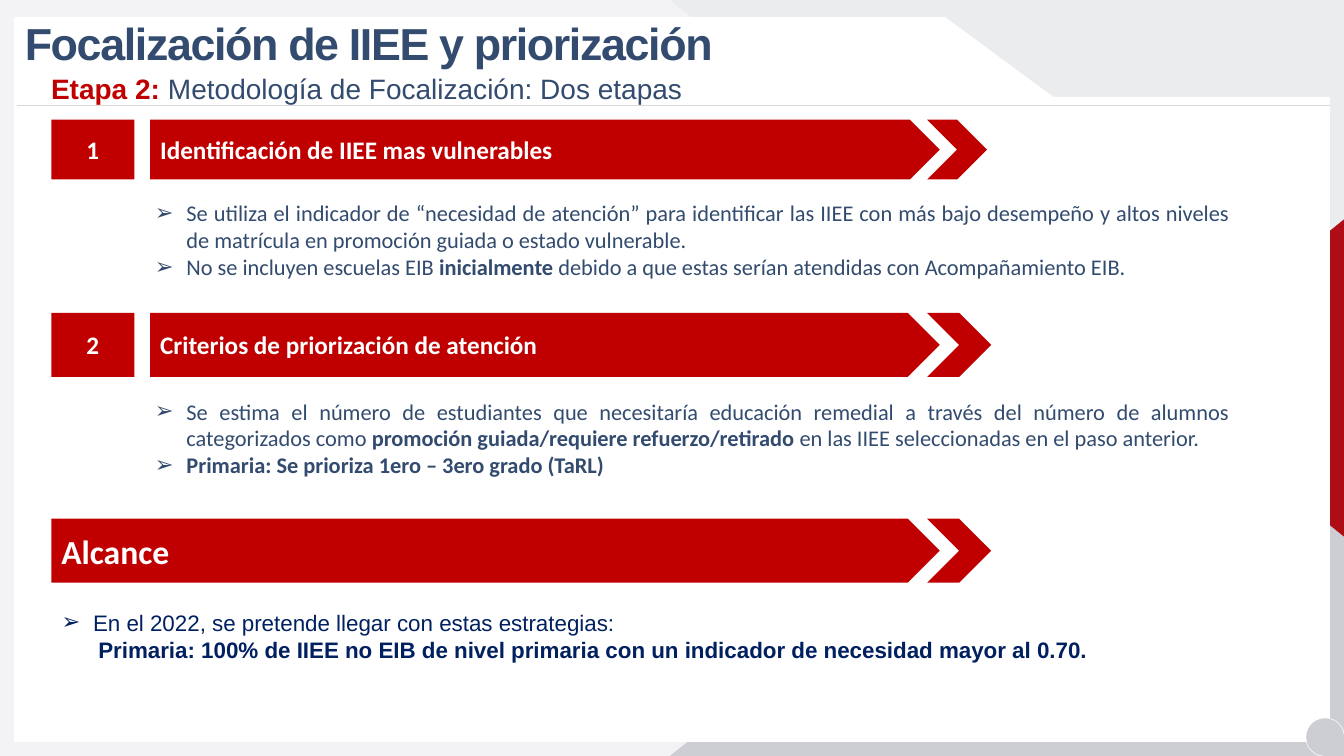
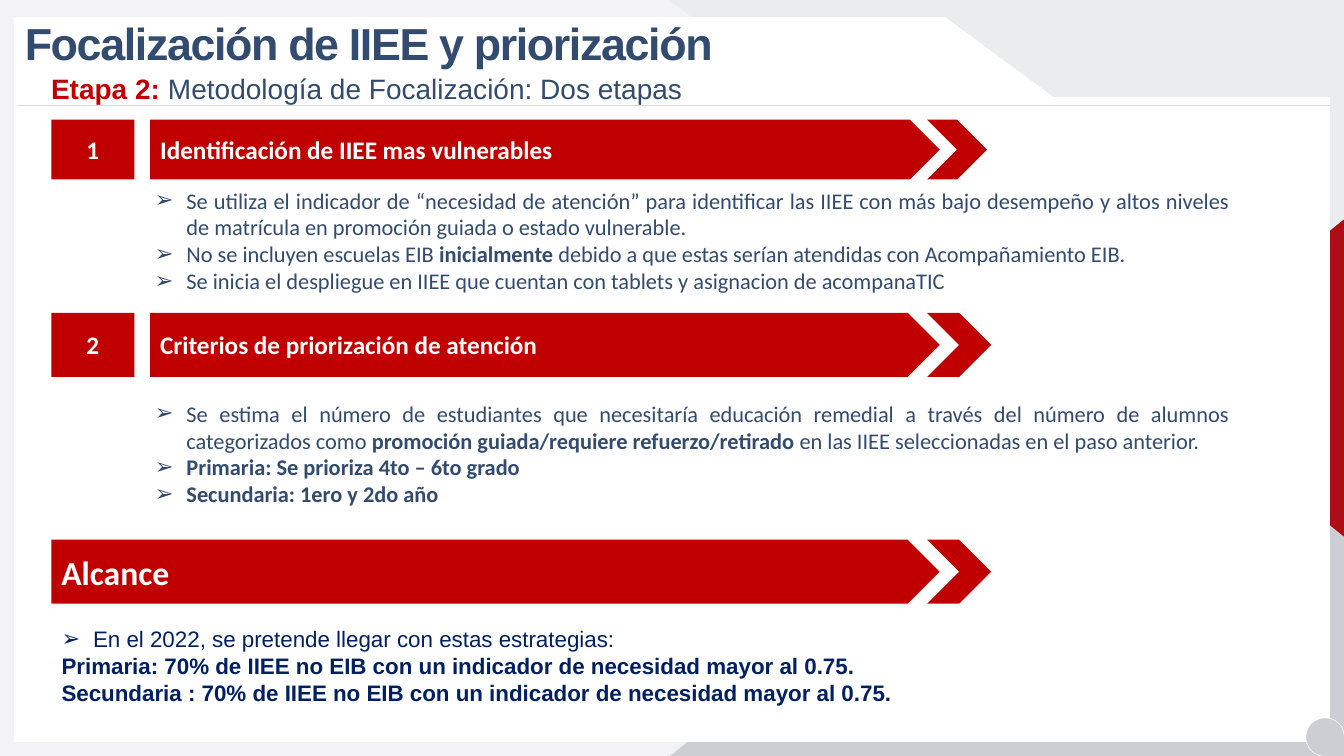
"""Build two slides on the targeting and prioritisation of schools."""
from dataclasses import dataclass
from typing import Any, Optional

from lxml import etree
from pptx import Presentation
from pptx.dml.color import RGBColor
from pptx.enum.shapes import MSO_CONNECTOR, MSO_SHAPE
from pptx.enum.text import MSO_ANCHOR, MSO_AUTO_SIZE, PP_ALIGN
from pptx.oxml.ns import qn
from pptx.util import Pt

PX = 9525
SLIDE_WIDTH, SLIDE_HEIGHT = 1280, 720
COMPARISON_LAYOUT = 4
SUBTITLE, FIRST_LIST, SCOPE_LIST, SECOND_LIST = 1, 2, 3, 4

RECTANGLE, TRIANGLE = MSO_SHAPE.RECTANGLE, MSO_SHAPE.ISOSCELES_TRIANGLE
TEARDROP, ARROW, CHEVRON = MSO_SHAPE.TEAR, MSO_SHAPE.PENTAGON, MSO_SHAPE.CHEVRON
STRAIGHT = MSO_CONNECTOR.STRAIGHT
TOP, MIDDLE = MSO_ANCHOR.TOP, MSO_ANCHOR.MIDDLE
LEFT, CENTER, JUSTIFY = PP_ALIGN.LEFT, PP_ALIGN.CENTER, PP_ALIGN.JUSTIFY
NO_AUTOFIT = MSO_AUTO_SIZE.NONE

WHITE = RGBColor(0xFF, 0xFF, 0xFF)
PALE_GREY = RGBColor(0xF3, 0xF3, 0xF5)
LIGHT_GREY = RGBColor(0xEB, 0xEC, 0xEE)
MID_GREY = RGBColor(0xCD, 0xCE, 0xD3)
RULE_GREY = RGBColor(0xD9, 0xD9, 0xD9)
DARK_RED = RGBColor(0xAF, 0x0D, 0x15)
RED = RGBColor(0xC0, 0x00, 0x00)
SLATE = RGBColor(0x32, 0x4B, 0x6E)
NAVY = RGBColor(0x00, 0x20, 0x60)

TITLE_FONT = {"name": "Arial", "size": Pt(32)}
SUBTITLE_FONT = {"name": "Arial", "size": Pt(20)}
BAND_FONT = {"name": "Calibri", "size": Pt(18)}
SCOPE_BAND_FONT = {"name": "Calibri", "size": Pt(24)}
LIST_FONT = {"name": "Calibri", "size": Pt(16)}
SCOPE_FONT = {"name": "Arial", "size": Pt(16)}

BAND_LEFT, ARROW_LEFT, ARROW_RIGHT, CHEVRON_LEFT = 49, 143, 895, 883
NUMBER_WIDTH, BAND_HEIGHT = 79, 61
LIST_LEFT, LIST_WIDTH, SCOPE_WIDTH = 138, 1043, 1183
BULLET_INDENT = 30
LINE_HEIGHT, LIST_PADDING = 26, 9
PANEL = ((14, 17), (900, 17), (1003, 93), (1266, 93), (1266, 706), (14, 706))


@dataclass(frozen=True)
class Box:
    """A rectangle in px."""
    left: int
    top: int
    width: int
    height: int

    def emu(self) -> tuple[int, ...]:
        """Return the rectangle in EMU."""
        return tuple(n * PX for n in (self.left, self.top, self.width, self.height))


@dataclass(frozen=True)
class Span:
    """A stretch of text in one weight and colour."""
    text: str
    bold: bool = False
    color: Optional[RGBColor] = None


@dataclass(frozen=True)
class Para:
    """A paragraph with its bullet and left margin."""
    spans: tuple[Span, ...]
    bullet: str = ""
    margin: int = 0


@dataclass(frozen=True)
class Backdrop:
    """A preset shape behind the content."""
    kind: Any
    box: Box
    fill: RGBColor
    rotation: int = 0
    adjustment: Optional[float] = None
    flipped: bool = False
    outline: Optional[RGBColor] = None


@dataclass(frozen=True)
class Step:
    """A numbered band."""
    number: str
    heading: str
    top: int
    height: int


@dataclass(frozen=True)
class TextBlock:
    """A list with its first line's place and its line count."""
    top: int
    lines: int
    paras: tuple[Para, ...]


@dataclass(frozen=True)
class Content:
    """What differs from slide to slide."""
    first: TextBlock
    second: TextBlock
    scope_top: int
    scope: TextBlock


def item(*spans: Span) -> Para:
    """Return a bulleted paragraph."""
    return Para(spans, "➢", BULLET_INDENT)


CORNER = Box(1244, 684, 36, 36)
BACKDROPS = (
    Backdrop(RECTANGLE, Box(0, 0, SLIDE_WIDTH, SLIDE_HEIGHT), PALE_GREY),
    Backdrop(TRIANGLE, Box(638, 0, 642, 510), LIGHT_GREY, adjustment=1, flipped=True),
    Backdrop(TRIANGLE, Box(638, 210, 642, 510), MID_GREY, adjustment=1),
    Backdrop(TRIANGLE, Box(1035, 266, 302, 188), DARK_RED, rotation=270),
    Backdrop(TEARDROP, CORNER, MID_GREY, rotation=90, outline=WHITE),
)
CORNER_MARK = Backdrop(TEARDROP, CORNER, MID_GREY, rotation=90)

TITLE_PARA = Para((Span("Focalización de IIEE y priorización", True),))
SUBTITLE_PARA = Para((
    Span("Etapa 2: ", True, RED),
    Span("Metodología de Focalización: Dos etapas"),
))
STEPS = (
    Step("1", "Identificación de IIEE mas vulnerables", 114, 57),
    Step("2", "Criterios de priorización de atención", 298, BAND_HEIGHT),
)
NEED_ITEMS = (
    item(Span("Se utiliza el indicador de “necesidad de atención” para identificar las "
              "IIEE con más bajo desempeño y altos niveles de matrícula en promoción "
              "guiada o estado vulnerable.")),
    item(Span("No se incluyen escuelas EIB "), Span("inicialmente ", True),
         Span("debido a que estas serían atendidas con Acompañamiento EIB.")),
)
ESTIMATE_ITEM = item(
    Span("Se estima el número de estudiantes que necesitaría educación remedial a través "
         "del número de alumnos categorizados como "),
    Span("promoción guiada/requiere refuerzo/retirado ", True),
    Span("en las IIEE seleccionadas en el paso anterior."),
)
SCOPE_ITEM = item(Span("En el 2022, se pretende llegar con estas estrategias:"))
CONTENTS = (
    Content(
        TextBlock(185, 3, NEED_ITEMS),
        TextBlock(374, 3, (
            ESTIMATE_ITEM,
            item(Span("Primaria: Se prioriza 1ero – 3ero grado (TaRL)", True)),
        )),
        494,
        TextBlock(575, 2, (
            SCOPE_ITEM,
            Para((Span("Primaria: 100% de IIEE no EIB de nivel primaria con un indicador "
                       "de necesidad mayor al 0.70.", True),), margin=35),
        )),
    ),
    Content(
        TextBlock(173, 4, NEED_ITEMS + (
            item(Span("Se inicia el despliegue en IIEE que cuentan con tablets y "
                      "asignacion de acompanaTIC")),
        )),
        TextBlock(376, 4, (
            ESTIMATE_ITEM,
            item(Span("Primaria: Se prioriza 4to – 6to grado", True)),
            item(Span("Secundaria: 1ero y 2do año", True)),
        )),
        514,
        TextBlock(591, 3, (
            SCOPE_ITEM,
            Para((Span("Primaria: 70% de IIEE no EIB con un indicador de necesidad "
                       "mayor al 0.75.", True),)),
            Para((Span("Secundaria : 70% de IIEE no EIB con un indicador de necesidad "
                       "mayor al 0.75.", True),)),
        )),
    ),
)


def apply(target: Any, values: dict[str, Any]) -> None:
    """Set each named attribute on the target."""
    for name, value in values.items():
        setattr(target, name, value)


def write(shape: Any, paras: tuple[Para, ...], font: dict[str, Any], color: RGBColor,
          align: Any = LEFT, anchor: Any = TOP) -> None:
    """Fill a shape with formatted paragraphs."""
    frame = shape.text_frame
    apply(frame, {"word_wrap": True, "auto_size": NO_AUTOFIT, "vertical_anchor": anchor})
    for index, source in enumerate(paras):
        para = frame.add_paragraph() if index else frame.paragraphs[0]
        apply(para, {"alignment": align, "space_before": Pt(0)})
        properties = para._p.get_or_add_pPr()
        properties.set("marL", str(source.margin * PX))
        properties.set("indent", str(-source.margin * PX if source.bullet else 0))
        if source.bullet:
            etree.SubElement(properties, qn("a:buChar")).set("char", source.bullet)
        else:
            etree.SubElement(properties, qn("a:buNone"))
        for piece in source.spans:
            span = para.add_run()
            span.text = piece.text
            apply(span.font, {**font, "bold": piece.bold})
            span.font.color.rgb = piece.color or color


def add_shape(slide: Any, kind: Any, box: Box, fill: RGBColor) -> Any:
    """Add a flat preset shape without an outline."""
    shape = slide.shapes.add_shape(kind, *box.emu())
    paint(shape, fill)
    return shape


def paint(shape: Any, fill: RGBColor, outline: Optional[RGBColor] = None) -> None:
    """Give a shape a solid fill, an optional outline and no shadow."""
    shape.shadow.inherit = False
    shape.fill.solid()
    shape.fill.fore_color.rgb = fill
    if outline is None:
        shape.line.fill.background()
    else:
        shape.line.color.rgb = outline
        shape.line.width = Pt(1)


def add_backdrop(slide: Any, backdrop: Backdrop) -> None:
    """Add one background shape."""
    shape = add_shape(slide, backdrop.kind, backdrop.box, backdrop.fill)
    paint(shape, backdrop.fill, backdrop.outline)
    shape.rotation = backdrop.rotation
    if backdrop.adjustment is not None:
        shape.adjustments[0] = backdrop.adjustment
    if backdrop.flipped:
        next(shape.element.iter(qn("a:xfrm"))).set("flipV", "1")


def add_background(slide: Any) -> None:
    """Draw the shared background and move it to the slide's layout."""
    placeholder_count = len(slide.shapes)
    for backdrop in BACKDROPS:
        add_backdrop(slide, backdrop)
    builder = slide.shapes.build_freeform(*PANEL[0], scale=PX)
    builder.add_line_segments(PANEL[1:], close=True)
    paint(builder.convert_to_shape(), WHITE, WHITE)
    rule = slide.shapes.add_connector(STRAIGHT, 1267 * PX, 100 * PX, 16 * PX, 100 * PX)
    rule.line.color.rgb = RULE_GREY
    rule.line.width = Pt(0.5)
    etree.SubElement(rule.element.find(qn("p:spPr")), qn("a:effectLst"))
    add_backdrop(slide, CORNER_MARK)
    layout_tree = slide.slide_layout.shapes.element
    for index, shape in enumerate(list(slide.shapes)[placeholder_count:]):
        layout_tree.insert(2 + index, shape.element)


def place(shape: Any, box: Box) -> None:
    """Move a placeholder to a rectangle."""
    apply(shape, dict(zip(("left", "top", "width", "height"), box.emu())))


def add_band(slide: Any, text: str, box: Box, font: dict[str, Any]) -> None:
    """Add a labelled arrow band followed by a chevron."""
    arrow = add_shape(slide, ARROW, box, RED)
    write(arrow, (Para((Span(text, True),)),), font, WHITE, anchor=MIDDLE)
    add_shape(slide, CHEVRON, Box(CHEVRON_LEFT, box.top, box.height, box.height), RED)


def add_step(slide: Any, step: Step) -> None:
    """Add a numbered band."""
    box = Box(ARROW_LEFT, step.top, ARROW_RIGHT - ARROW_LEFT, step.height)
    add_band(slide, step.heading, box, BAND_FONT)
    number = add_shape(slide, RECTANGLE, Box(BAND_LEFT, step.top, NUMBER_WIDTH, step.height), RED)
    write(number, (Para((Span(step.number, True),)),), BAND_FONT, WHITE, CENTER, MIDDLE)


def fill_slide(slide: Any, content: Content) -> None:
    """Write the headings, bands and lists of one slide."""
    title = slide.shapes.title
    place(title, Box(14, 10, 880, 61))
    write(title, (TITLE_PARA,), TITLE_FONT, SLATE)
    for properties in title.element.iter(qn("a:rPr")):
        properties.set("spc", "-100")
    subtitle = slide.placeholders[SUBTITLE]
    place(subtitle, Box(39, 63, 1132, 42))
    write(subtitle, (SUBTITLE_PARA,), SUBTITLE_FONT, SLATE)
    for step in STEPS:
        add_step(slide, step)
    scope_box = Box(BAND_LEFT, content.scope_top, ARROW_RIGHT - BAND_LEFT, BAND_HEIGHT)
    add_band(slide, "Alcance", scope_box, SCOPE_BAND_FONT)
    for index, block, left, width, font, color in (
        (FIRST_LIST, content.first, LIST_LEFT, LIST_WIDTH, LIST_FONT, SLATE),
        (SECOND_LIST, content.second, LIST_LEFT, LIST_WIDTH, LIST_FONT, SLATE),
        (SCOPE_LIST, content.scope, BAND_LEFT, SCOPE_WIDTH, SCOPE_FONT, NAVY),
    ):
        body = slide.placeholders[index]
        place(body, Box(left, block.top, width, block.lines * LINE_HEIGHT + LIST_PADDING))
        write(body, block.paras, font, color, JUSTIFY)


def main() -> None:
    """Build and save the deck."""
    deck = Presentation()
    apply(deck, {"slide_width": SLIDE_WIDTH * PX, "slide_height": SLIDE_HEIGHT * PX})
    layout = deck.slide_layouts[COMPARISON_LAYOUT]
    for index, content in enumerate(CONTENTS):
        slide = deck.slides.add_slide(layout)
        if index == 0:
            add_background(slide)
        fill_slide(slide, content)
    deck.save("out.pptx")


if __name__ == "__main__":
    main()
